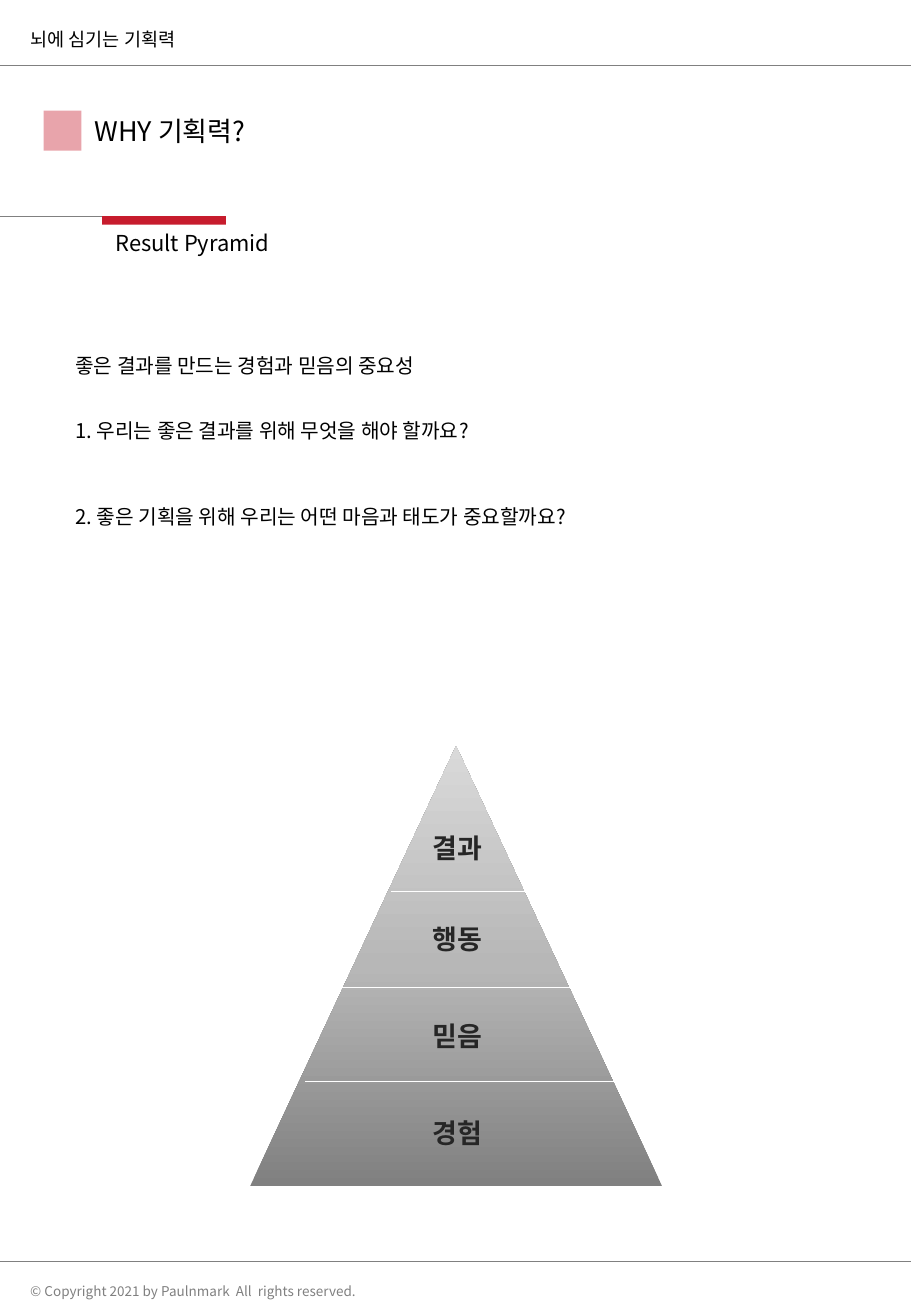
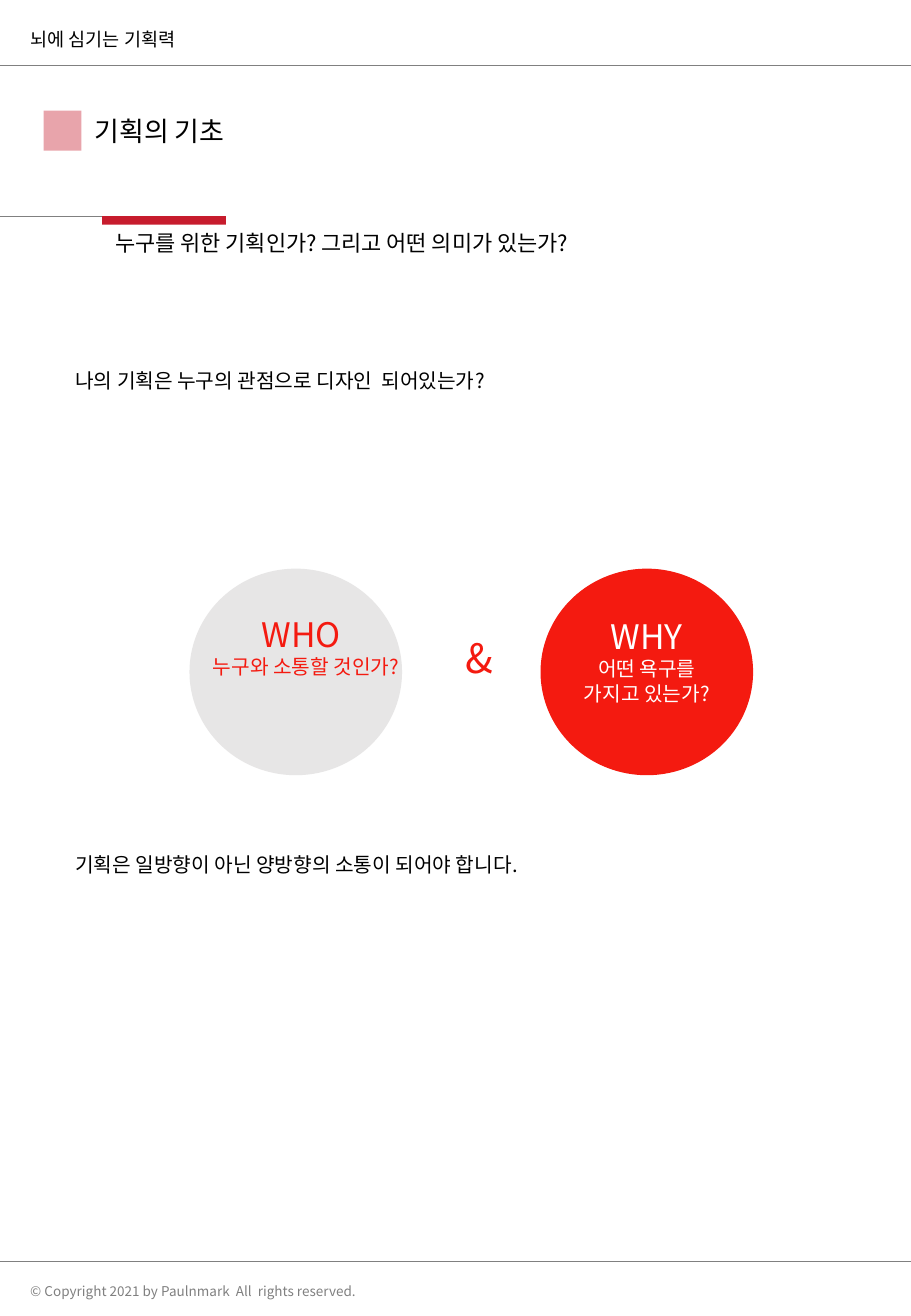
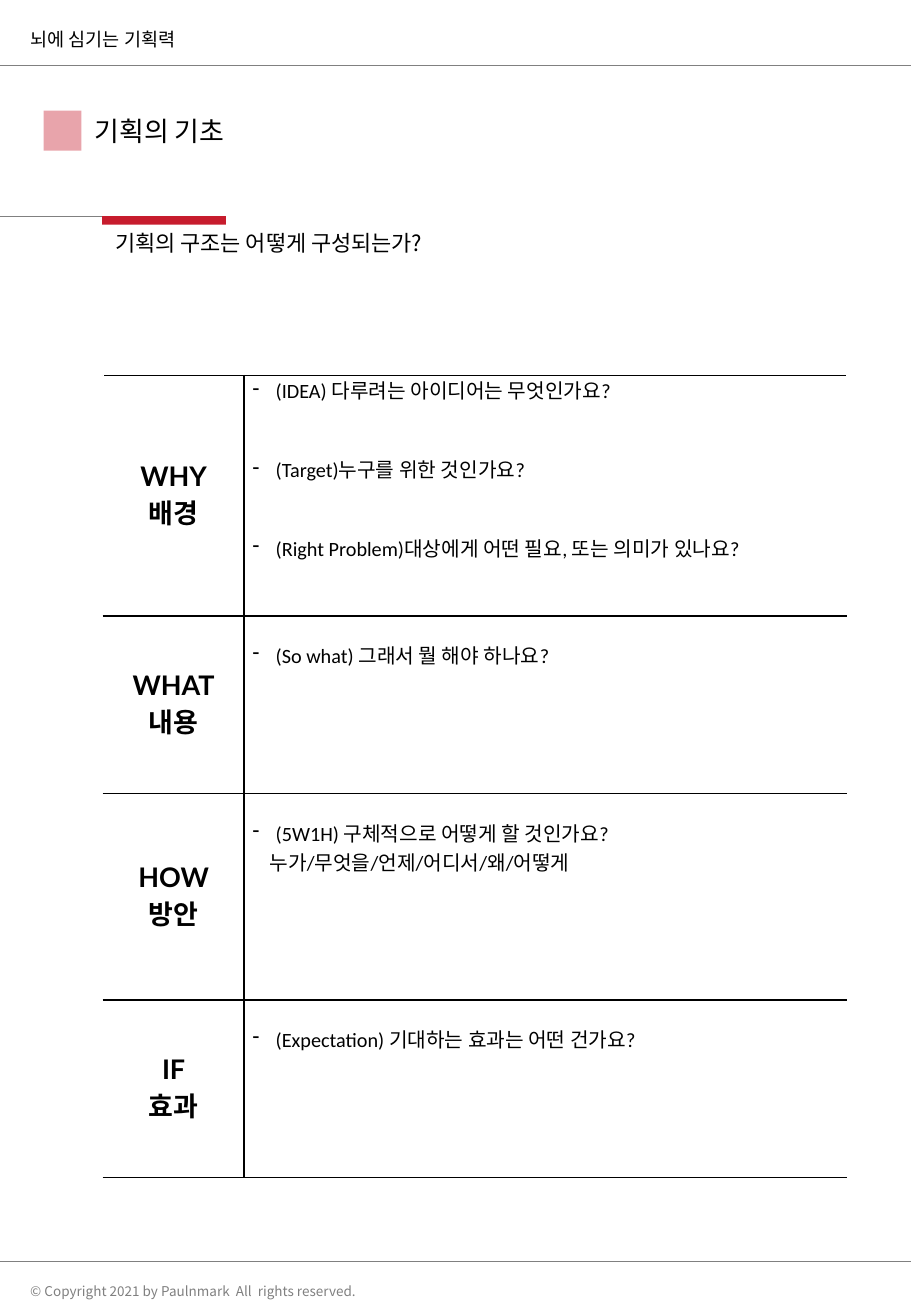
from dataclasses import dataclass
from typing import Any, Optional

import lxml.etree
import pptx
import pptx.dml.color
import pptx.enum.shapes
import pptx.enum.text
import pptx.oxml.ns
import pptx.presentation
import pptx.slide
import pptx.util

Inches = pptx.util.Inches
Pt = pptx.util.Pt
qn = pptx.oxml.ns.qn
ALIGN = pptx.enum.text.PP_ALIGN
ANCHOR = pptx.enum.text.MSO_ANCHOR
AUTO_SIZE = pptx.enum.text.MSO_AUTO_SIZE
PRESET = pptx.enum.shapes.MSO_SHAPE

# Shared look
SANS = "Noto Sans CJK KR"
BLACK, WHITE, GREY = "000000", "FFFFFF", "808080"
CRIMSON, RED, PALE, CHARCOAL = "C71C2D", "F41A10", "E7E6E6", "262626"
RUNNING_HEAD = "뇌에 심기는 기획력"
COPYRIGHT = "© Copyright 2021 by Paulnmark  All  rights reserved."
COMPARISON_LAYOUT = 4
SUBTITLE, CONTENT, HEAD, SPARE = 1, 2, 3, 4  # placeholder indexes


@dataclass(frozen=True)
class Box:
    left: float
    top: float
    width: float
    height: float

    def lengths(self) -> list[int]:
        return [Inches(v) for v in (self.left, self.top, self.width, self.height)]


@dataclass(frozen=True)
class Line:
    """One paragraph and its format."""
    text: str
    size: float = 12
    color: str = BLACK
    font: str = SANS
    bold: bool = False
    align: Any = ALIGN.LEFT
    spacing: float = 1.0
    before: float = 0
    margin: float = 0
    bullet: Optional[str] = None


@dataclass(frozen=True)
class Rule:
    x1: float
    y1: float
    x2: float
    y2: float


@dataclass(frozen=True)
class Stage:
    """One row of the planning table."""
    label: str
    korean: str
    height: float
    top_margin: float
    points: list[Line]


@dataclass(frozen=True)
class Level:
    """One level of the pyramid."""
    name: str
    top: float


def rgb(color: str) -> pptx.dml.color.RGBColor:
    return pptx.dml.color.RGBColor.from_string(color)


def write(frame: Any, lines: list[Line]) -> None:
    """Fill a text frame with formatted paragraphs."""
    for number, line in enumerate(lines):
        paragraph = frame.paragraphs[0] if number == 0 else frame.add_paragraph()
        paragraph.text = line.text
        properties = paragraph._p.get_or_add_pPr()
        properties.set("marL", str(Inches(line.margin)))
        properties.set("indent", str(-Inches(line.margin) if line.bullet else 0))
        if line.bullet:
            lxml.etree.SubElement(properties, qn("a:buChar"), char=line.bullet)
        else:
            lxml.etree.SubElement(properties, qn("a:buNone"))
        paragraph.alignment = line.align
        paragraph.line_spacing = line.spacing
        paragraph.space_before = Pt(line.before)
        for run in paragraph.runs:
            run.font.name = line.font
            run.font.size = Pt(line.size)
            run.font.bold = line.bold
            run.font.color.rgb = rgb(line.color)
            lxml.etree.SubElement(run._r.get_or_add_rPr(), qn("a:ea"), typeface=SANS)


def fill_placeholder(holder: Any, box: Box, lines: list[Line]) -> None:
    holder.left, holder.top, holder.width, holder.height = box.lengths()
    frame = holder.text_frame
    frame.word_wrap = True
    frame.auto_size = AUTO_SIZE.NONE
    frame.vertical_anchor = ANCHOR.TOP
    write(frame, lines)


def add_text(shapes: Any, box: Box, lines: list[Line]) -> None:
    frame = shapes.add_textbox(*box.lengths()).text_frame
    frame.word_wrap = True
    frame.auto_size = AUTO_SIZE.SHAPE_TO_FIT_TEXT
    write(frame, lines)


def add_filled(shapes: Any, preset: Any, box: Box, color: str,
               opacity: int = 100) -> Any:
    shape = shapes.add_shape(preset, *box.lengths())
    shape.shadow.inherit = False
    shape.line.fill.background()
    shape.fill.solid()
    shape.fill.fore_color.rgb = rgb(color)
    if opacity < 100:
        tint = shape._element.spPr.find(".//" + qn("a:srgbClr"))
        lxml.etree.SubElement(tint, qn("a:alpha"), val=str(opacity * 1000))
    return shape


def add_rule(shapes: Any, rule: Rule, color: str, weight: float) -> None:
    connector = shapes.add_connector(
        pptx.enum.shapes.MSO_CONNECTOR.STRAIGHT,
        Inches(rule.x1), Inches(rule.y1), Inches(rule.x2), Inches(rule.y2))
    connector.line.color.rgb = rgb(color)
    connector.line.width = Pt(weight)
    lxml.etree.SubElement(connector._element.spPr, qn("a:effectLst"))


def add_page(deck: pptx.presentation.Presentation, title: str, subtitle: str,
             content: Optional[list[Line]] = None) -> pptx.slide.Slide:
    """Add a page with the shared frame, headings and optional body text."""
    slide = deck.slides.add_slide(deck.slide_layouts[COMPARISON_LAYOUT])
    shapes = slide.shapes

    # Frame
    add_filled(shapes, PRESET.RECTANGLE, Box(0.36, 0.91, 0.31, 0.33), CRIMSON, 40)
    for rule in (Rule(0, 1.78, 1.86, 1.78), Rule(0, 0.54, 7.52, 0.54),
                 Rule(-0.02, 10.38, 7.5, 10.38)):
        add_rule(shapes, rule, GREY, 0.25)
    add_filled(shapes, PRESET.RECTANGLE, Box(0.84, 1.78, 1.02, 0.07), CRIMSON)
    add_text(shapes, Box(0.15, 10.51, 3.51, 0.23), [Line(COPYRIGHT, 8, GREY)])

    # Headings and body
    holders = {holder.placeholder_format.idx: holder for holder in slide.placeholders}
    fill_placeholder(shapes.title, Box(0.68, 0.92, 6.47, 0.59),
                     [Line(title, 16, spacing=0.9)])
    fill_placeholder(holders[SUBTITLE], Box(0.85, 1.86, 6.06, 0.43),
                     [Line(subtitle, 13, spacing=0.9)])
    fill_placeholder(holders[HEAD], Box(0.15, 0.2, 6.06, 0.43),
                     [Line(RUNNING_HEAD, 11, spacing=0.9)])
    unused = [SPARE]
    if content:
        fill_placeholder(holders[CONTENT], Box(0.52, 2.88, 6.47, 6.87), content)
    else:
        unused.append(CONTENT)
    for index in unused:
        element = holders[index]._element
        element.getparent().remove(element)
    return slide


def add_pyramid(slide: pptx.slide.Slide) -> None:
    shapes = slide.shapes.add_group_shape().shapes
    pyramid = add_filled(shapes, PRESET.ISOSCELES_TRIANGLE,
                         Box(2.06, 6.14, 3.39, 3.62), GREY)
    pyramid.fill.gradient()
    pyramid.fill.gradient_angle = 90
    stops = pyramid._element.spPr.find(".//" + qn("a:gsLst"))
    for stop in list(stops):
        stops.remove(stop)
    for position, color in ((0, GREY), (50, "B7B7B7"), (100, "D9D9D9")):
        stop = lxml.etree.SubElement(stops, qn("a:gs"), pos=str(position * 1000))
        lxml.etree.SubElement(stop, qn("a:srgbClr"), val=color)

    for level in (Level("결과", 6.79), Level("행동", 7.54),
                  Level("믿음", 8.34), Level("경험", 9.14)):
        add_text(shapes, Box(3.37, level.top, 0.79, 0.37),
                 [Line(level.name, 16, CHARCOAL, bold=True, align=ALIGN.CENTER)])
    for divider in (Rule(3.22, 7.34, 4.64, 7.34), Rule(2.67, 8.13, 5.03, 8.13),
                    Rule(5.41, 8.9, 2.51, 8.9)):
        add_rule(shapes, divider, WHITE, 0.5)


def add_who_and_why(slide: pptx.slide.Slide) -> None:
    def centred(text: str, size: float, color: str) -> Line:
        return Line(text, size, color, align=ALIGN.CENTER)

    shapes = slide.shapes
    add_text(shapes, Box(3.73, 5.16, 0.35, 0.5), [centred("&", 24, RED)])
    for left, color in ((1.56, PALE), (4.45, RED)):
        add_filled(shapes, PRESET.OVAL, Box(left, 4.68, 1.75, 1.7), color)
    add_text(shapes, Box(4.42, 5.02, 1.81, 0.84),
             [centred("WHY", 20, WHITE), centred("어떤 욕구를", 12, WHITE),
              centred("가지고 있는가?", 12, WHITE)])
    add_text(shapes, Box(1.65, 5, 1.66, 0.84),
             [centred("WHO", 20, RED), centred("누구와 소통할 것인가?", 12, RED)])


def point(text: str, before: float = 0) -> Line:
    return Line(text, font="Calibri", align=ALIGN.JUSTIFY, before=before,
                margin=0.19, bullet="-")


STAGES = [
    Stage("WHY", "배경", 1.98, 0, [
        point("(IDEA) 다루려는 아이디어는 무엇인가요?"),
        point("(Target)누구를 위한 것인가요?", 29.4),
        point("(Right Problem)대상에게 어떤 필요, 또는 의미가 있나요?", 29.4)]),
    Stage("WHAT", "내용", 1.46, 0.2, [point("(So what) 그래서 뭘 해야 하나요?")]),
    Stage("HOW", "방안", 1.7, 0.2, [
        point("(5W1H) 구체적으로 어떻게 할 것인가요?"),
        Line("누가/무엇을/언제/어디서/왜/어떻게", font="Calibri",
             align=ALIGN.JUSTIFY, margin=0.14)]),
    Stage("IF", "효과", 1.46, 0.2, [point("(Expectation) 기대하는 효과는 어떤 건가요?")]),
]


def format_cell(cell: Any, sides: str, anchor: Any, top_margin: float,
                lines: list[Line]) -> None:
    """Write a cell and draw black borders on the given sides."""
    cell.margin_left = cell.margin_right = Inches(0.07)
    cell.margin_top, cell.margin_bottom = Inches(top_margin), 0
    cell.vertical_anchor = anchor
    properties = cell._tc.get_or_add_tcPr()
    for side in sides:
        border = lxml.etree.SubElement(properties, qn("a:ln" + side), w=str(Pt(1)))
        paint = lxml.etree.SubElement(border, qn("a:solidFill"))
        lxml.etree.SubElement(paint, qn("a:srgbClr"), val=BLACK)
    cell.fill.background()
    write(cell.text_frame, lines)


def add_stage_table(slide: pptx.slide.Slide) -> None:
    widths = (1.16, 4.96)
    box = Box(0.85, 3.09, sum(widths), sum(stage.height for stage in STAGES))
    table = slide.shapes.add_table(len(STAGES), len(widths), *box.lengths()).table
    table.first_row = table.horz_banding = False
    for column, width in zip(table.columns, widths):
        column.width = Inches(width)
    for number, stage in enumerate(STAGES):
        table.rows[number].height = Inches(stage.height)
        labels = [Line(text, 16, font="Lato", bold=True, align=ALIGN.CENTER)
                  for text in (stage.label, stage.korean)]
        format_cell(table.cell(number, 0), "RTB", ANCHOR.MIDDLE, 0, labels)
        format_cell(table.cell(number, 1), "LTB", ANCHOR.TOP,
                    stage.top_margin, stage.points)


def main() -> None:
    deck = pptx.Presentation()
    deck.slide_width, deck.slide_height = Inches(7.5), Inches(10.83)

    # Result pyramid
    add_pyramid(add_page(deck, "WHY 기획력?", "Result Pyramid", [
        Line("좋은 결과를 만드는 경험과 믿음의 중요성", spacing=0.9),
        Line("1. 우리는 좋은 결과를 위해 무엇을 해야 할까요?", spacing=0.9, before=25.3),
        Line("2. 좋은 기획을 위해 우리는 어떤 마음과 태도가 중요할까요?",
             spacing=0.9, before=38.3)]))

    # Who and why
    add_who_and_why(add_page(
        deck, "기획의 기초", "누구를 위한 기획인가? 그리고 어떤 의미가 있는가?", [
            Line("나의 기획은 누구의 관점으로 디자인  되어있는가?", spacing=1.5),
            Line("기획은 일방향이 아닌 양방향의 소통이 되어야 합니다.",
                 spacing=1.5, before=265)]))

    # Structure of a plan
    add_stage_table(add_page(deck, "기획의 기초", "기획의 구조는 어떻게 구성되는가?"))

    deck.save("out.pptx")


if __name__ == "__main__":
    main()
